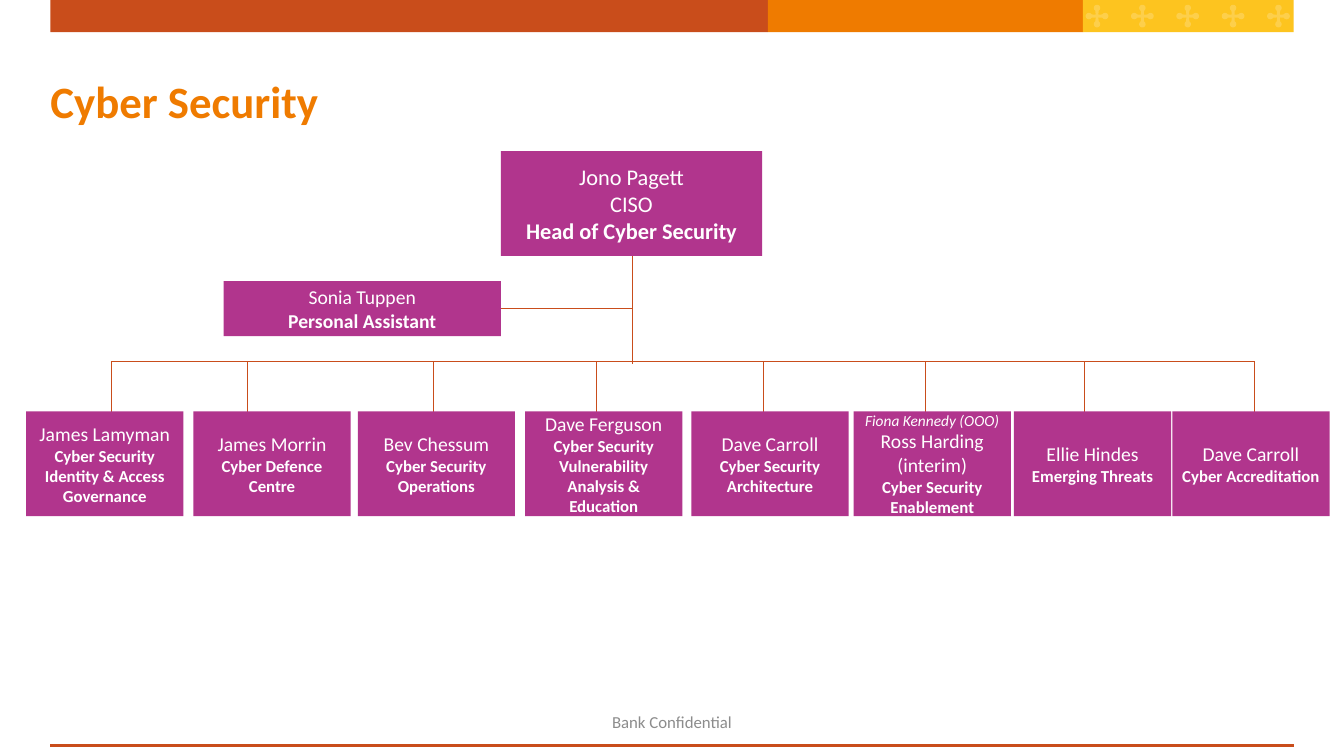
from dataclasses import dataclass
from math import cos, radians, sin

from lxml.etree import SubElement
from pptx import Presentation
from pptx.dml.color import RGBColor
from pptx.enum.shapes import MSO_CONNECTOR, MSO_SHAPE
from pptx.enum.text import MSO_ANCHOR, MSO_AUTO_SIZE, PP_ALIGN
from pptx.oxml.ns import qn
from pptx.util import Pt


@dataclass(frozen=True)
class Theme:
    font: str = "Calibri"
    rust: str = "C94D1B"
    orange: str = "EF7B00"
    yellow: str = "FDC41F"
    purple: str = "B1358D"
    white: str = "FFFFFF"
    grey: str = "8C8C8C"
    title: float = 32
    head: float = 16
    name: float = 14
    role: float = 12
    absent: float = 11


@dataclass(frozen=True)
class Box:
    left: float
    top: float
    width: float
    height: float

    def lengths(self):
        return [Pt(v) for v in (self.left, self.top, self.width, self.height)]


THEME = Theme()
MEMBERS = [
    (0, 60.5, [("James Lamyman", "name"), ("Cyber Security Identity & Access Governance", "role")]),
    (119.5, 157.7, [("James Morrin", "name"), ("Cyber Defence Centre", "role")]),
    (236.9, 290.9, [("Bev Chessum", "name"), ("Cyber Security Operations", "role")]),
    (356.4, 407.5, [("Dave Ferguson", "name"),
                    ("Cyber Security Vulnerability Analysis & Education", "role")]),
    (475.2, 526.3, [("Dave Carroll", "name"), ("Cyber Security Architecture", "role")]),
    (591.1, 642.3, [("Fiona Kennedy (OOO)", "absent"), ("Ross Harding (interim)", "name"),
                    ("Cyber Security Enablement", "role")]),
    (705.6, 756, [("Ellie Hindes", "name"), ("Emerging Threats", "role")]),
    (818.7, 877, [("Dave Carroll", "name"), ("Cyber Accreditation", "role")]),
]


def style_font(font, size, color, bold=False, italic=False):
    font.name = THEME.font
    font.size = Pt(size)
    font.bold = bold
    font.italic = italic
    font.color.rgb = RGBColor.from_string(color)


def paint(shape, color):
    shape.shadow.inherit = False
    shape.fill.solid()
    shape.fill.fore_color.rgb = RGBColor.from_string(color)
    shape.line.fill.background()


def add_rule(slide, x1, y1, x2, y2, weight=0.5):
    rule = slide.shapes.add_connector(MSO_CONNECTOR.STRAIGHT, Pt(x1), Pt(y1), Pt(x2), Pt(y2))
    rule.line.width = Pt(weight)
    rule.line.color.rgb = RGBColor.from_string(THEME.rust)
    SubElement(rule._element.spPr, qn("a:effectLst"))


def add_cross(slide, center_x, center_y):
    arm = [(1, -1)] + [(5.8 + 2.3 * cos(radians(a)), 2.3 * sin(radians(a)))
                       for a in range(-150, 151, 20)]
    outline = []
    for turn in range(4):
        c, s = [(1, 0), (0, 1), (-1, 0), (0, -1)][turn]
        outline += [(Pt(center_x + x * c - y * s), Pt(center_y + x * s + y * c))
                    for x, y in arm]
    builder = slide.shapes.build_freeform(*outline[0])
    builder.add_line_segments(outline[1:], close=True)
    cross = builder.convert_to_shape()
    paint(cross, THEME.white)
    tint = cross._element.spPr.find(qn("a:solidFill"))[0]
    SubElement(tint, qn("a:alpha")).set("val", "20000")


def add_header(slide, box):
    bands = [(0, 512.5, THEME.rust), (512.5, 225.2, THEME.orange), (737.5, 150.5, THEME.yellow)]
    for offset, width, color in bands:
        band = slide.shapes.add_shape(
            MSO_SHAPE.RECTANGLE, *Box(box.left + offset, box.top, width, box.height).lengths())
        paint(band, color)
    for index in range(5):
        add_cross(slide, box.left + 747.6 + index * 32.4, box.top + box.height / 2)


def add_title(slide, box):
    title = slide.shapes.title
    title.left, title.top, title.width, title.height = box.lengths()
    frame = title.text_frame
    frame.text = "Cyber Security"
    frame.auto_size = MSO_AUTO_SIZE.NONE
    frame.word_wrap = True
    frame.vertical_anchor = MSO_ANCHOR.MIDDLE
    frame.margin_left = frame.margin_right = frame.margin_top = frame.margin_bottom = 0
    frame.paragraphs[0].alignment = PP_ALIGN.LEFT
    style_font(frame.paragraphs[0].runs[0].font, THEME.title, THEME.orange, bold=True)


def add_person(slide, box, lines):
    person = slide.shapes.add_shape(MSO_SHAPE.RECTANGLE, *box.lengths())
    paint(person, THEME.purple)
    frame = person.text_frame
    frame.word_wrap = True
    frame.vertical_anchor = MSO_ANCHOR.MIDDLE
    frame.text = "\n".join(text for text, level in lines)
    last = len(lines) - 1
    for index, (paragraph, (text, level)) in enumerate(zip(frame.paragraphs, lines)):
        paragraph.alignment = PP_ALIGN.CENTER
        style_font(paragraph.runs[0].font, getattr(THEME, level), THEME.white,
                   bold=index == last, italic=level == "absent")


def add_leadership(slide, box):
    trunk = box.left + 291.8
    assistant_right = box.left + 198
    assistant_middle = box.top + 112.4
    add_rule(slide, trunk, box.top + 74.9, trunk, box.top + box.height)
    add_rule(slide, assistant_right, assistant_middle, trunk, assistant_middle)
    add_person(slide, Box(assistant_right, box.top, 186.7, 74.9),
               [("Jono Pagett", "head"), ("CISO", "head"), ("Head of Cyber Security", "head")])
    add_person(slide, Box(box.left, box.top + 92.8, 198, 39.4),
               [("Sonia Tuppen", "name"), ("Personal Assistant", "name")])


def add_teams(slide, box):
    drops = [box.left + drop for left, drop, lines in MEMBERS]
    add_rule(slide, drops[0], box.top, drops[-1], box.top)
    for drop in drops:
        add_rule(slide, drop, box.top, drop, box.top + 46.8)
    for left, drop, lines in MEMBERS:
        add_person(slide, Box(box.left + left, box.top + 36, 112.3, box.height - 36), lines)


def add_footer(slide, box):
    marking = slide.shapes.add_textbox(*Box(box.left + 204, box.top, 480, 30.2).lengths())
    frame = marking.text_frame
    frame.word_wrap = True
    frame.vertical_anchor = MSO_ANCHOR.MIDDLE
    frame.text = "Bank Confidential"
    frame.paragraphs[0].alignment = PP_ALIGN.CENTER
    style_font(frame.paragraphs[0].runs[0].font, THEME.role, THEME.grey)
    bottom = box.top + box.height
    add_rule(slide, box.left, bottom, box.left + box.width, bottom, weight=2.25)


def main():
    deck = Presentation()
    deck.slide_width, deck.slide_height = Pt(960), Pt(540)
    slide = deck.slides.add_slide(deck.slide_layouts[5])
    add_header(slide, Box(36, 0, 888, 23))
    add_title(slide, Box(36, 36, 888, 72))
    add_leadership(slide, Box(159.8, 108, 384.7, 152))
    add_teams(slide, Box(18.7, 257.9, 931, 110.9))
    add_footer(slide, Box(36, 500.4, 888, 32.4))
    deck.save("out.pptx")


if __name__ == "__main__":
    main()
